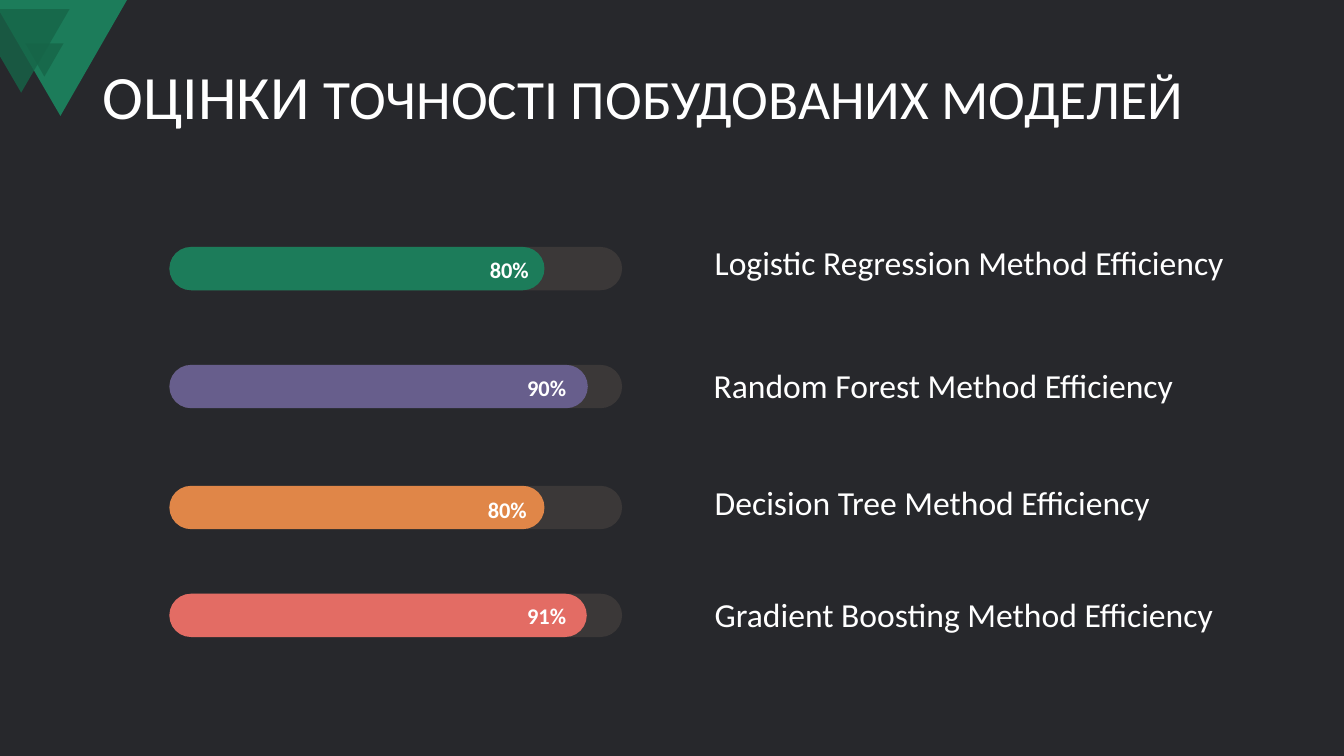
from lxml.etree import SubElement
from pptx import Presentation
from pptx.dml.color import RGBColor
from pptx.enum.shapes import MSO_SHAPE
from pptx.enum.text import MSO_ANCHOR, MSO_AUTO_SIZE
from pptx.oxml.ns import qn
from pptx.util import Inches, Pt

FONT = "Calibri"
WHITE = "FFFFFF"
BACKGROUND = "27282C"
TRACK = "3B3838"
GREEN = "1C7C5A"
DARK_GREEN = "166548"

BAR_LEFT, BAR_HEIGHT, TRACK_WIDTH = 1.68, 0.43, 4.49

# bar top, bar width, colour, value, value left, value top, label, label left, label top
METHODS = [
    (2.45, 3.72, GREEN, "80%", 4.76, 2.49, "Logistic Regression Method Efficiency", 6.99, 2.35),
    (3.62, 4.15, "675E8C", "90%", 5.13, 3.66, "Random Forest Method Efficiency", 6.98, 3.57),
    (4.82, 3.72, "E08648", "80%", 4.74, 4.87, "Decision Tree Method Efficiency", 6.99, 4.73),
    (5.89, 4.14, "E36C64", "91%", 5.13, 5.92, "Gradient Boosting Method Efficiency", 6.99, 5.84),
]


def paint(fill, colour):
    fill.solid()
    fill.fore_color.rgb = RGBColor.from_string(colour)


def style_shape(shape, colour, opacity=100):
    """Give a flat fill without line or shadow; opacity is in percent."""
    shape.shadow.inherit = False
    shape.line.fill.background()
    paint(shape.fill, colour)
    if opacity < 100:
        colour_node = shape.fill._xPr.find(qn("a:solidFill"))[0]
        SubElement(colour_node, qn("a:alpha")).set("val", str(opacity * 1000))


def add_outline(page, points, colour, opacity=100):
    start, *rest = [(Inches(x), Inches(y)) for x, y in points]
    builder = page.shapes.build_freeform(*start)
    builder.add_line_segments(rest, close=True)
    style_shape(builder.convert_to_shape(), colour, opacity)


def add_pill(page, top, width, colour):
    pill = page.shapes.add_shape(
        MSO_SHAPE.ROUNDED_RECTANGLE,
        Inches(BAR_LEFT), Inches(top), Inches(width), Inches(BAR_HEIGHT))
    pill.adjustments[0] = 0.5
    style_shape(pill, colour)


def add_text(page, spans, left, top, width, height, bold=False, wrap=False,
             anchor=MSO_ANCHOR.TOP, line_spacing=1.0):
    """Write one paragraph from (text, point size) spans."""
    box = page.shapes.add_textbox(Inches(left), Inches(top), Inches(width), Inches(height))
    frame = box.text_frame
    frame.word_wrap = wrap
    frame.auto_size = MSO_AUTO_SIZE.NONE if wrap else MSO_AUTO_SIZE.SHAPE_TO_FIT_TEXT
    frame.vertical_anchor = anchor
    para = frame.paragraphs[0]
    para.line_spacing = line_spacing
    for text, size in spans:
        span = para.add_run()
        span.text = text
        span.font.name = FONT
        span.font.size = Pt(size)
        span.font.bold = bold
        span.font.color.rgb = RGBColor.from_string(WHITE)


def add_corner(page):
    add_outline(page, [(0, 0), (1.26, 0), (0.6, 1.15), (0, 0.12)], GREEN)
    triangle = page.shapes.add_shape(
        MSO_SHAPE.ISOSCELES_TRIANGLE, Inches(0.25), Inches(0.43), Inches(0.38), Inches(0.33))
    triangle.rotation = 180
    style_shape(triangle, DARK_GREEN, opacity=80)
    add_outline(page, [(0, 0.09), (0.69, 0.09), (0.21, 0.92), (0, 0.56)], DARK_GREEN, opacity=80)


def main():
    deck = Presentation()
    deck.slide_width, deck.slide_height = Inches(13.33), Inches(7.5)
    page = deck.slides.add_slide(deck.slide_layouts[6])
    paint(page.background.fill, BACKGROUND)

    add_corner(page)
    add_text(page, [("ОЦІНКИ ", 44), ("ТОЧНОСТІ ПОБУДОВАНИХ МОДЕЛЕЙ", 39.6)],
             0.92, 0.53, 11.5, 0.91, wrap=True, anchor=MSO_ANCHOR.MIDDLE, line_spacing=0.9)

    for (top, width, colour, value, value_left, value_top,
         label, label_left, label_top) in METHODS:
        add_pill(page, top, TRACK_WIDTH, TRACK)
        add_pill(page, top, width, colour)
        add_text(page, [(value, 16)], value_left, value_top, 0.59, 0.37, bold=True)
        add_text(page, [(label, 24)], label_left, label_top, 5.26 if label.startswith("Logistic")
                 else 5.15 if label.startswith("Gradient")
                 else 4.76 if label.startswith("Random") else 4.52, 0.5)

    deck.save("out.pptx")


if __name__ == "__main__":
    main()
